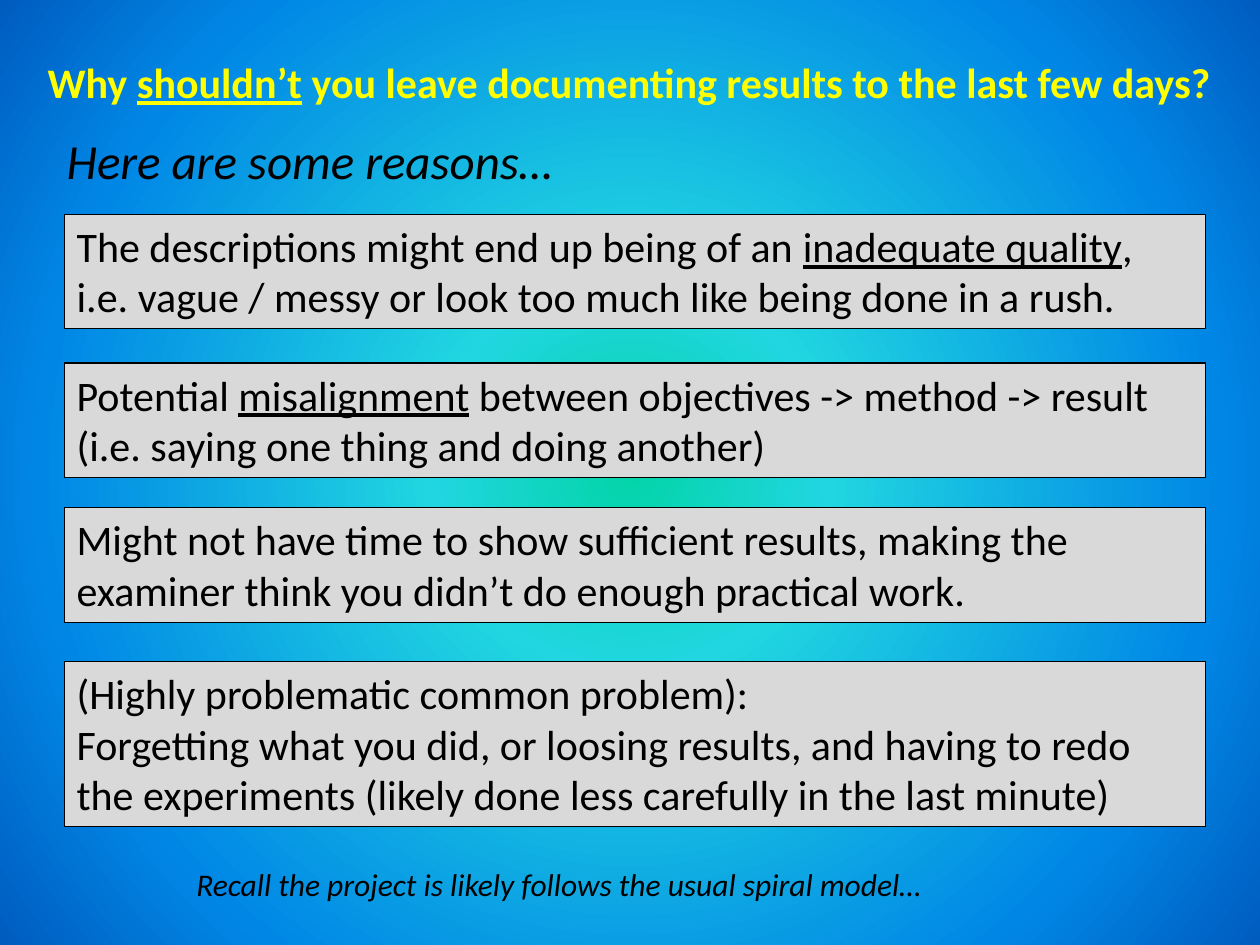
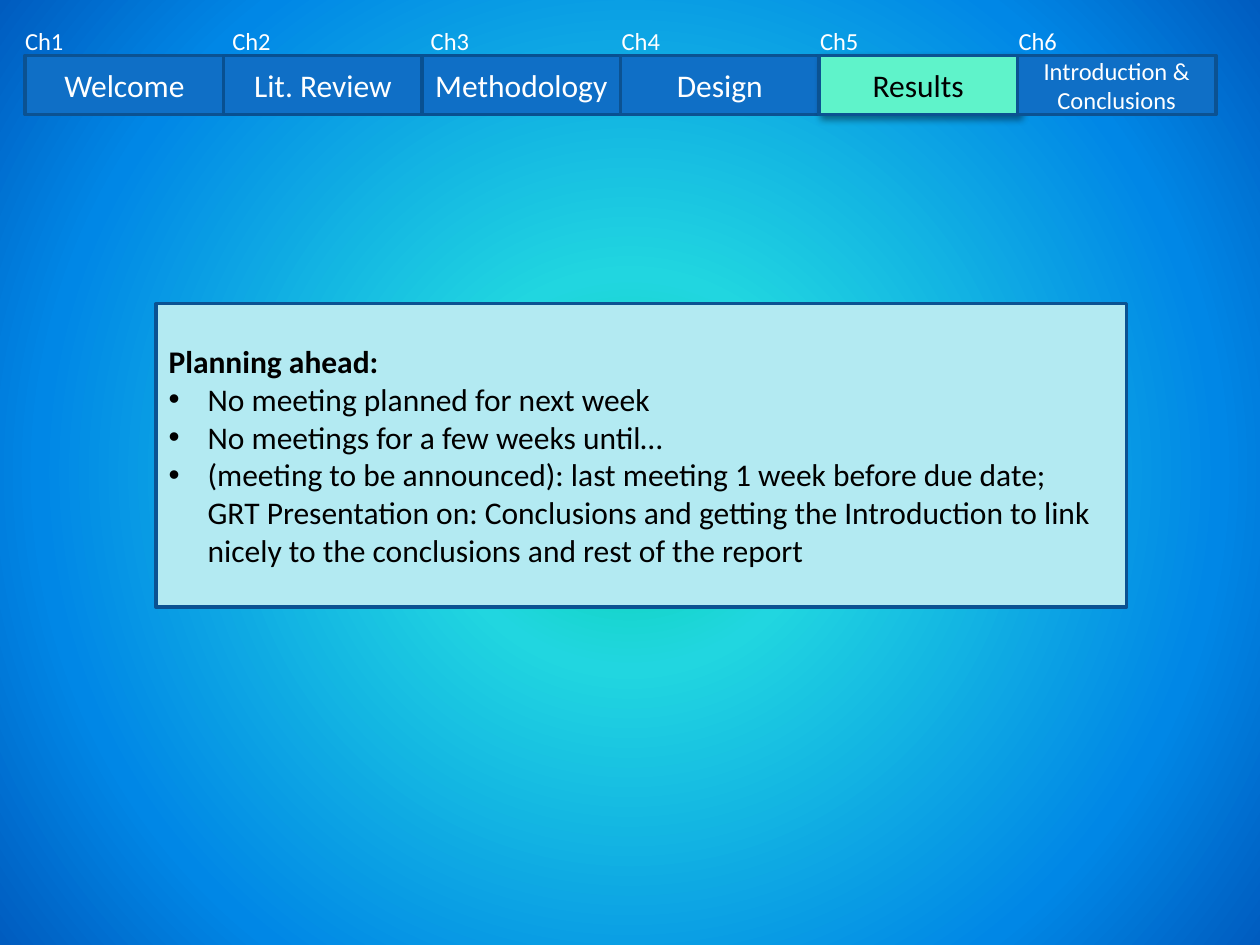
from dataclasses import dataclass
from typing import Optional

import pptx
import pptx.dml.color
import pptx.enum.shapes
import pptx.enum.text
import pptx.oxml
import pptx.oxml.ns
import pptx.util

ALIGN = pptx.enum.text.PP_ALIGN
ANCHOR = pptx.enum.text.MSO_ANCHOR
AUTO_SIZE = pptx.enum.text.MSO_AUTO_SIZE

# Grid: 100 columns by 75 rows of a tenth of an inch
COLUMNS, ROWS = 100, 75
CELL = pptx.util.Inches(0.1)
FONT = "Calibri"
COLORS = {
    "title": "FFFF00", "text": "000000", "light": "FFFFFF",
    "reason": "D9D9D9", "plan": "B3EAF2", "tab": "0F6FC6",
    "current": "5FF3CA", "outline": "0B5292", "outline_dark": "085091",
}
BACKGROUND_STOPS = {0: "03D4A8", 25: "21D6E0", 75: "0087E6", 100: "005CBF"}


@dataclass(frozen=True)
class Place:
    """Columns and rows of the grid."""
    left: float
    top: float
    width: float
    height: float

    def lengths(self) -> list[int]:
        return [round(n * CELL) for n in (self.left, self.top, self.width, self.height)]


@dataclass(frozen=True)
class Style:
    size: int
    color: str = "text"
    bold: bool = False
    italic: bool = False
    align: ALIGN = ALIGN.LEFT


@dataclass(frozen=True)
class Reason:
    top: float
    height: float
    lines: tuple[str, ...]


@dataclass(frozen=True)
class Chapter:
    name: str
    label_shift: float
    size: int = 18
    fill: str = "tab"
    color: str = "light"
    outline: str = "outline"


# Underscores enclose underlined words
REASONS = (
    Reason(17, 9.1, (
        "The descriptions might end up being of an _inadequate quality_,",
        "i.e. vague / messy or look too much like being done in a rush.")),
    Reason(28.8, 9.1, (
        "Potential _misalignment_ between objectives -> method -> result",
        "(i.e. saying one thing and doing another)")),
    Reason(40.3, 9.1, (
        "Might not have time to show sufficient results, making the",
        "examiner think you didn’t do enough practical work.")),
    Reason(52.5, 13.1, (
        "(Highly problematic common problem):",
        "Forgetting what you did, or loosing results, and having to redo "
        "the experiments (likely done less carefully in the last minute)")),
)
CHAPTERS = (
    Chapter("Welcome", -1),
    Chapter("Lit. Review", -0.3, outline="outline_dark"),
    Chapter("Methodology", -0.3, outline="outline_dark"),
    Chapter("Design", -0.9),
    Chapter("Results", -0.9, fill="current", color="text"),
    Chapter("Introduction & Conclusions", -0.9, size=14),
)
PLANS = (
    "No meeting planned for next week",
    "No meetings for a few weeks until…",
    "(meeting to be announced): last meeting 1 week before due date;\n"
    "GRT Presentation on: Conclusions and getting the Introduction to link "
    "nicely to the conclusions and rest of the report",
)


def rgb(name: str) -> pptx.dml.color.RGBColor:
    return pptx.dml.color.RGBColor.from_string(COLORS[name])


def xml(tag: str, body: str, attributes: str = ""):
    namespace = pptx.oxml.ns.nsdecls("a")
    return pptx.oxml.parse_xml(f"<a:{tag} {namespace} {attributes}>{body}</a:{tag}>")


def set_background(presentation) -> None:
    master = presentation.slide_master
    master.background.fill.solid()
    solid = master.element.xpath("./p:cSld/p:bg/p:bgPr/a:solidFill")[0]
    stops = "".join(f'<a:gs pos="{position * 1000}"><a:srgbClr val="{color}"/></a:gs>'
                    for position, color in BACKGROUND_STOPS.items())
    center = '<a:fillToRect l="50000" t="50000" r="50000" b="50000"/>'
    gradient = xml("gradFill", f'<a:gsLst>{stops}</a:gsLst><a:path path="circle">{center}</a:path>')
    solid.getparent().replace(solid, gradient)


def write_paragraph(paragraph, text: str, style: Style) -> None:
    for line_number, line in enumerate(text.split("\n")):
        if line_number:
            paragraph.add_line_break()
        for part_number, part in enumerate(line.split("_")):
            run = paragraph.add_run()
            run.text = part
            if part_number % 2:
                run.font.underline = True
    paragraph.alignment = style.align
    font = paragraph.font
    font.name, font.size = FONT, pptx.util.Pt(style.size)
    font.bold, font.italic = style.bold, style.italic
    font.color.rgb = rgb(style.color)


def write_lines(text_frame, lines: tuple[str, ...], style: Style) -> None:
    for number, line in enumerate(lines):
        paragraph = text_frame.add_paragraph() if number else text_frame.paragraphs[0]
        write_paragraph(paragraph, line, style)


def add_bullet(paragraph) -> None:
    properties = paragraph._p.get_or_add_pPr()
    indent = pptx.util.Inches(0.31)
    properties.set("marL", str(indent))
    properties.set("indent", str(-indent))
    properties.insert_element_before(xml("buFont", "", 'typeface="Arial"'), "a:defRPr")
    properties.insert_element_before(xml("buChar", "", 'char="•"'), "a:defRPr")


def add_label(slide, place: Place, text: str, style: Style) -> None:
    text_frame = slide.shapes.add_textbox(*place.lengths()).text_frame
    text_frame.word_wrap = False
    text_frame.auto_size = AUTO_SIZE.SHAPE_TO_FIT_TEXT
    write_lines(text_frame, (text,), style)


def add_box(slide, place: Place, fill: str, outline: str, width: float,
            lines: tuple[str, ...], style: Style,
            anchor: Optional[ANCHOR] = ANCHOR.MIDDLE):
    shape = slide.shapes.add_shape(
        pptx.enum.shapes.MSO_SHAPE.RECTANGLE, *place.lengths())
    shape.shadow.inherit = False
    shape.fill.solid()
    shape.fill.fore_color.rgb = rgb(fill)
    shape.line.color.rgb = rgb(outline)
    shape.line.width = pptx.util.Pt(width)
    shape.text_frame.word_wrap = True
    shape.text_frame.vertical_anchor = anchor
    write_lines(shape.text_frame, lines, style)
    return shape


def add_shadow(shape) -> None:
    effects = shape._element.spPr.find(pptx.oxml.ns.qn("a:effectLst"))
    color = '<a:srgbClr val="000000"><a:alpha val="40000"/></a:srgbClr>'
    effects.append(xml("outerShdw", color,
                       'blurRad="50800" dist="38100" dir="2700000" rotWithShape="0"'))


def build_reasons(slide) -> None:
    add_label(slide, Place(2.8, 4, 95.3, 5),
              "Why _shouldn’t_ you leave documenting results to the last few days?",
              Style(24, "title", bold=True))
    add_label(slide, Place(4.3, 9.9, 41.3, 5.7), "Here are some reasons…",
              Style(28, italic=True))
    for reason in REASONS:
        box = add_box(slide, Place(5.1, reason.top, 90.6, reason.height), "reason",
                      "text", 0.75, reason.lines, Style(24), ANCHOR.TOP)
        box.text_frame.auto_size = AUTO_SIZE.SHAPE_TO_FIT_TEXT
    add_label(slide, Place(14.6, 68.2, 60.4, 4),
              "Recall the project is likely follows the usual spiral model…",
              Style(18, italic=True))


def build_planning(slide) -> None:
    # Plan for the coming weeks
    box = add_box(slide, Place(12.4, 24.1, 77, 24.1), "plan", "outline", 2,
                  ("Planning ahead:",), Style(18, bold=True))
    for plan in PLANS:
        paragraph = box.text_frame.add_paragraph()
        write_paragraph(paragraph, plan, Style(18))
        add_bullet(paragraph)

    # Chapter tabs, then their numbers
    first_left, tab_width = 2, 15.75
    lefts = [first_left + number * tab_width for number in range(len(CHAPTERS))]
    for left, chapter in zip(lefts, CHAPTERS):
        tab = add_box(slide, Place(left, 4.4, tab_width, 4.7), chapter.fill,
                      chapter.outline, 2, (chapter.name,),
                      Style(chapter.size, chapter.color, align=ALIGN.CENTER))
        if chapter.fill == "current":
            add_shadow(tab)
    for number, (left, chapter) in enumerate(zip(lefts, CHAPTERS), start=1):
        add_label(slide, Place(left + chapter.label_shift, 1.6, 5.1, 3.4),
                  f"Ch{number}", Style(14, "light"))


def main() -> None:
    presentation = pptx.Presentation()
    presentation.slide_width = COLUMNS * CELL
    presentation.slide_height = ROWS * CELL
    set_background(presentation)
    blank = presentation.slide_layouts[6]
    for build in (build_reasons, build_planning):
        build(presentation.slides.add_slide(blank))
    presentation.save("out.pptx")


if __name__ == "__main__":
    main()
